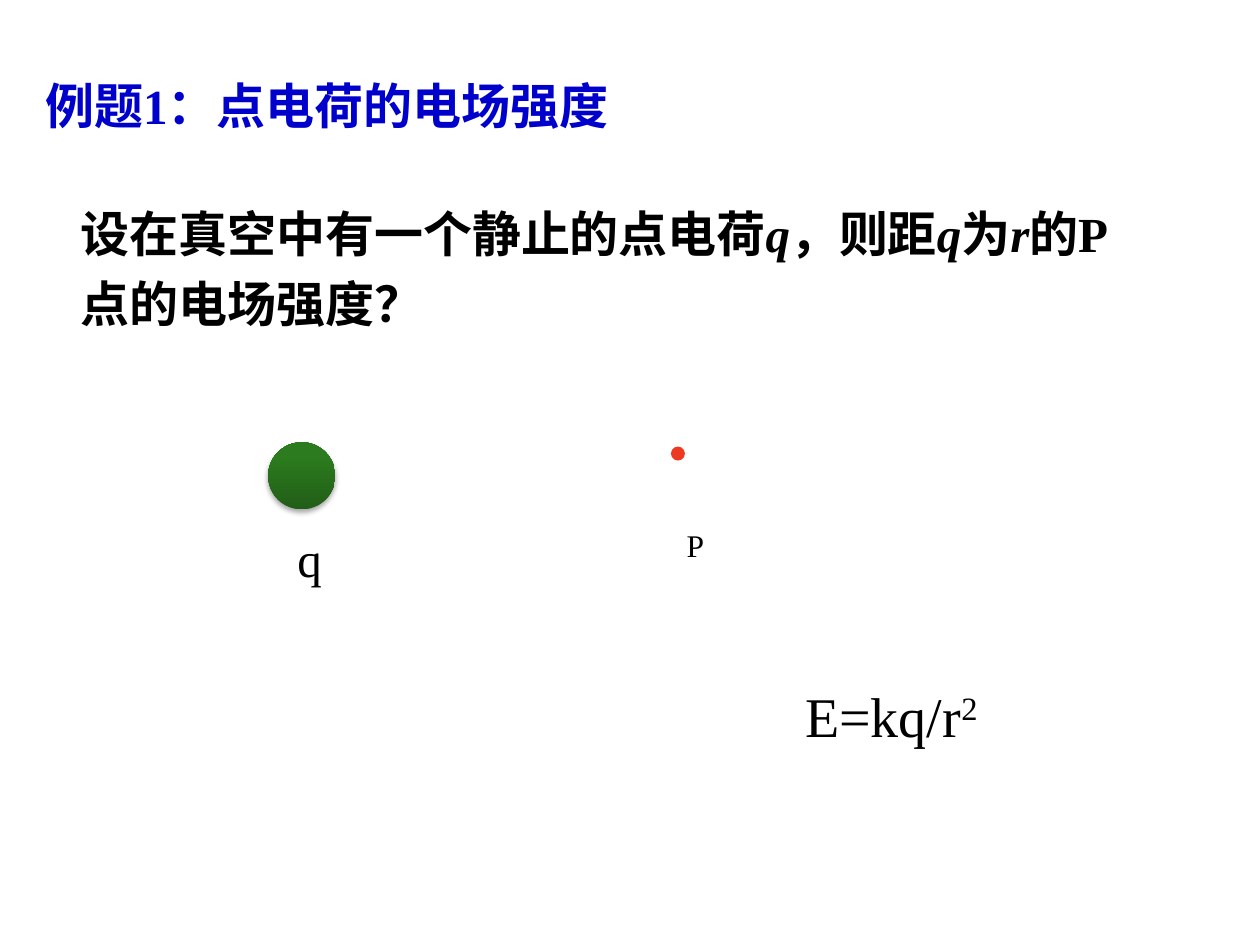
"""Build the slide on the electric field of a point charge."""
import copy
from dataclasses import dataclass

import lxml.etree
import pptx
import pptx.dml.color
import pptx.enum.shapes
import pptx.enum.text
import pptx.oxml
import pptx.oxml.ns
import pptx.util

Pt = pptx.util.Pt
FONT = "Times New Roman"
COLORS = {
    "title": "0000CC",
    "text": "000000",
    "point": "ED3921",
    "charge_dark": "215E17",
    "charge_mid": "2C7B1E",
    "charge_light": "2B7D1C",
}


@dataclass
class Run:
    text: str
    italic: bool = False
    superscript: bool = False


@dataclass
class Label:
    left: float
    top: float
    width: float
    height: float
    size: float
    runs: list[Run]
    color: str = "text"
    bold: bool = False
    wrap: bool = True


@dataclass
class Dot:
    left: float
    top: float
    diameter: float


LABELS = [
    Label(22.3, 33.1, 334, 44, 28, [Run("例题1：点电荷的电场强度")], "title", bold=True),
    Label(42.5, 105.8, 610, 88.6, 28, [
        Run("设在真空中有一个静止的点电荷"), Run("q", italic=True),
        Run("，则距"), Run("q", italic=True),
        Run("为"), Run("r", italic=True),
        Run("的P点的电场强度？"),
    ], bold=True),
    Label(166.3, 291.6, 21.6, 44.6, 28, [Run("q")], wrap=False),
    Label(388.8, 293, 17.3, 33.8, 18, [Run("P")], wrap=False),
    Label(456.5, 378, 170, 69.8, 32, [Run("E=kq/r"), Run("2", superscript=True)]),
]
CHARGE = Dot(153.2, 252.7, 38.4)
POINT = Dot(383.4, 255.2, 8)
CHARGE_STOPS = [(0, "charge_dark"), (0.8, "charge_mid"), (1, "charge_light")]


def rgb(name: str) -> pptx.dml.color.RGBColor:
    """Return the named colour."""
    return pptx.dml.color.RGBColor.from_string(COLORS[name])


def add_label(s, label: Label) -> None:
    """Add a text box with its formatted runs."""
    box = s.shapes.add_textbox(
        Pt(label.left), Pt(label.top), Pt(label.width), Pt(label.height))
    tf = box.text_frame
    tf.word_wrap = label.wrap
    tf.auto_size = pptx.enum.text.MSO_AUTO_SIZE.SHAPE_TO_FIT_TEXT
    tf.margin_left = tf.margin_right = tf.margin_top = tf.margin_bottom = Pt(3.6)
    p = tf.paragraphs[0]
    p.line_spacing = 1.2
    for run in label.runs:
        r = p.add_run()
        r.text = run.text
        r.font.name = FONT
        r.font.size = Pt(label.size)
        r.font.bold = label.bold
        r.font.italic = run.italic
        r.font.color.rgb = rgb(label.color)
        if run.superscript:
            r.font._element.set("baseline", "30000")


def add_dot(s, dot: Dot):
    """Add a circle without outline or shadow and return it."""
    sp = s.shapes.add_shape(
        pptx.enum.shapes.MSO_SHAPE.OVAL,
        Pt(dot.left), Pt(dot.top), Pt(dot.diameter), Pt(dot.diameter))
    sp.shadow.inherit = False
    sp.line.fill.background()
    return sp


def shade_charge(sp) -> None:
    """Give the charge its vertical gradient and soft shadow."""
    qn = pptx.oxml.ns.qn
    sp.fill.gradient()
    sp.fill.gradient_angle = 90
    stops = sp._element.spPr.find(qn("a:gradFill")).find(qn("a:gsLst"))
    stops.append(copy.deepcopy(stops[-1]))
    for stop, (position, color) in zip(sp.fill.gradient_stops, CHARGE_STOPS):
        stop.position = position
        stop.color.rgb = rgb(color)
    effects = sp._element.spPr.find(qn("a:effectLst"))
    shadow = lxml.etree.SubElement(
        effects, qn("a:outerShdw"), blurRad=str(Pt(3)), dist=str(Pt(1.8)),
        dir="5400000", rotWithShape="0")
    color = lxml.etree.SubElement(shadow, qn("a:srgbClr"), val=COLORS["text"])
    lxml.etree.SubElement(color, qn("a:alpha"), val="35000")


def main() -> None:
    """Build and save the slide."""
    prs = pptx.Presentation()
    prs.slide_width, prs.slide_height = Pt(720), Pt(540)
    s = prs.slides.add_slide(prs.slide_layouts[6])
    shade_charge(add_dot(s, CHARGE))
    point = add_dot(s, POINT)
    point.fill.solid()
    point.fill.fore_color.rgb = rgb("point")
    for label in LABELS:
        add_label(s, label)
    prs.save("out.pptx")


if __name__ == "__main__":
    main()
